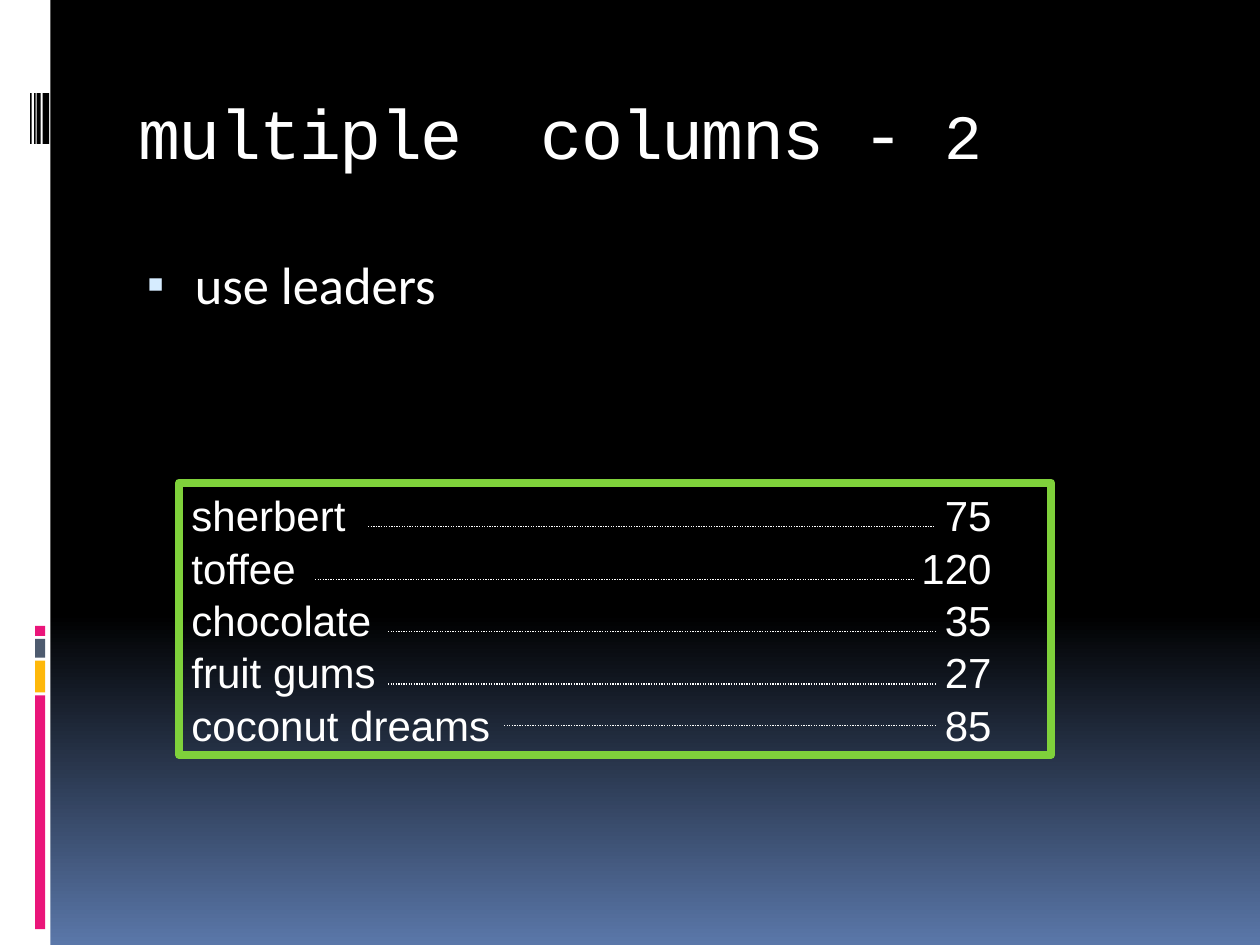
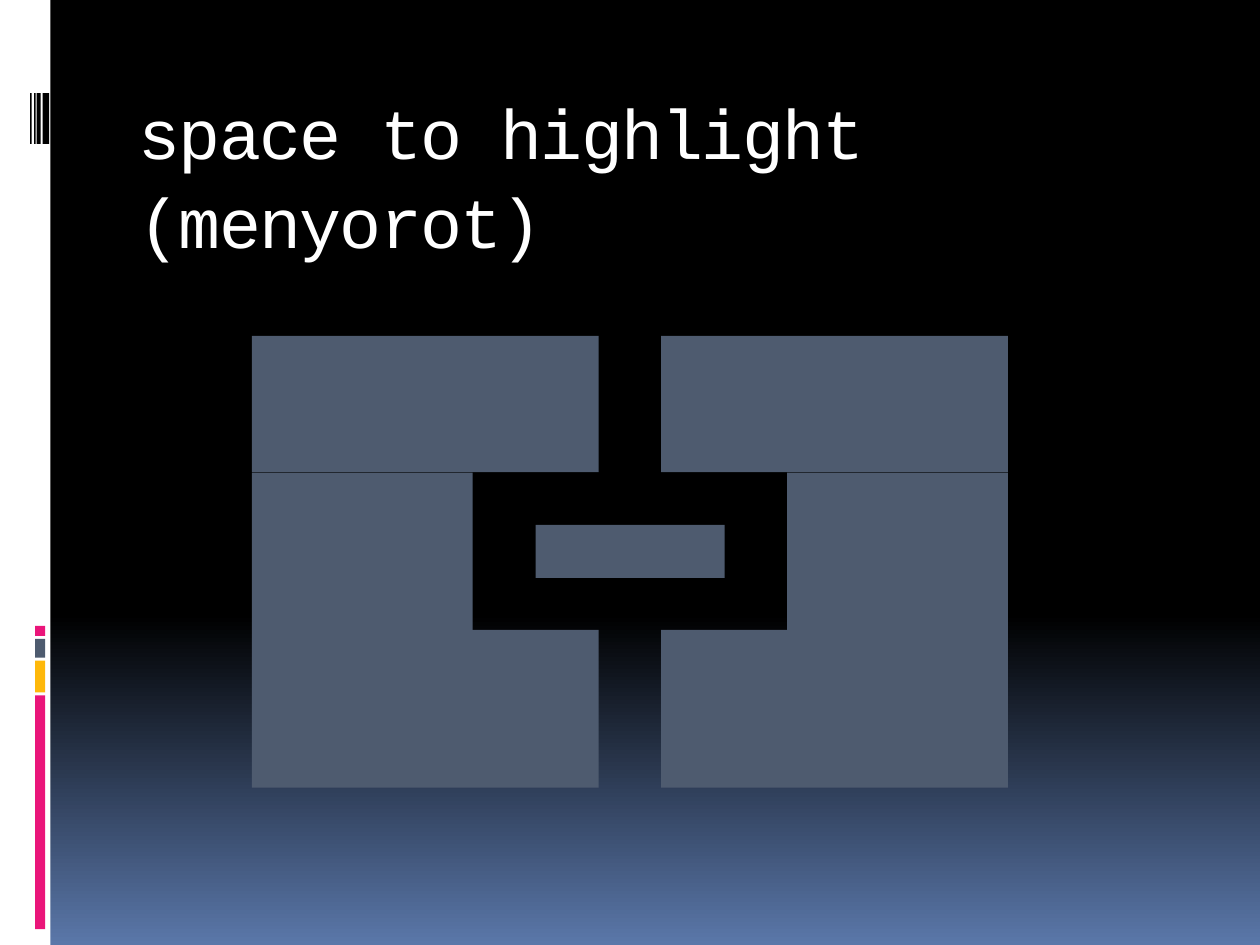
"""Build two slides on laying out columns and using space to highlight."""
from lxml.etree import SubElement
from pptx import Presentation
from pptx.dml.color import RGBColor
from pptx.enum.dml import MSO_LINE
from pptx.enum.shapes import MSO_CONNECTOR, MSO_SHAPE
from pptx.enum.text import MSO_ANCHOR, MSO_AUTO_SIZE, PP_ALIGN
from pptx.oxml.ns import qn
from pptx.util import Cm, Pt

COLORS = {
    "black": "000000",
    "white": "FFFFFF",
    "sky": "5A77A9",
    "pink": "EA157A",
    "amber": "FEB80A",
    "slate": "4E5B6F",
    "green": "7FD13B",
    "bullet": "D6ECFF",
}
PAGE_WIDTH, PAGE_HEIGHT = 25.4, 19.05
BARCODE = [(0.61, 0.03), (0.69, 0.03), (0.74, 0.08), (0.86, 0.13)]
STRIPS = [("pink", 0.2), ("slate", 0.38), ("amber", 0.64), ("pink", 4.71)]
STRIP_GAP = 0.06
SWEETS = [
    ("sherbert", 75, 7.42, 18.85, 10.62),
    ("toffee", 120, 6.35, 18.42, 11.68),
    ("chocolate", 35, 7.82, 18.85, 12.73),
    ("fruit gums", 27, 7.82, 18.85, 13.79),
    ("coconut dreams", 85, 10.16, 18.85, 14.63),
]
LEFT_BLOCKS = [(6.77, 6.99, 2.75), (9.53, 4.45, 3.17), (12.7, 6.99, 3.18)]
BLOCKS_LEFT = 5.08


def color(name):
    return RGBColor.from_string(COLORS[name])


def set_background(master):
    fill = master.background.fill
    fill.gradient()
    fill.gradient_angle = 270
    for stop, name, position in zip(fill.gradient_stops, ("black", "sky"), (0.65, 1)):
        stop.color.rgb = color(name)
        stop.position = position


def add_rectangle(page, left, top, width, height, fill=None):
    box = page.shapes.add_shape(
        MSO_SHAPE.RECTANGLE, Cm(left), Cm(top), Cm(width), Cm(height))
    box.shadow.inherit = False
    box.line.fill.background()
    if fill:
        box.fill.solid()
        box.fill.fore_color.rgb = color(fill)
    else:
        box.fill.background()
    return box


def set_font(para, name, size):
    para.font.name = name
    para.font.size = Pt(size)
    para.font.color.rgb = color("white")


def add_side_band(page):
    add_rectangle(page, 0, 0, 1.02, PAGE_HEIGHT, "white")
    top = 12.62
    for name, height in STRIPS:
        add_rectangle(page, 0.71, top, 0.2, height, name)
        top += height + STRIP_GAP
    for left, width in BARCODE:
        add_rectangle(page, left, 1.88, width, 1.02, "black")


def add_page(deck, title_parts):
    page = deck.slides.add_slide(deck.slide_layouts[5])
    add_side_band(page)
    title = page.shapes.title
    title.left, title.top, title.width, title.height = Cm(2.54), Cm(1.42), Cm(21.59), Cm(2.54)
    frame = title.text_frame
    frame.word_wrap = True
    frame.auto_size = MSO_AUTO_SIZE.NONE
    frame.vertical_anchor = MSO_ANCHOR.TOP
    frame.margin_top = Cm(0.28)
    para = frame.paragraphs[0]
    para.alignment = PP_ALIGN.LEFT
    para.line_spacing = 1.06
    set_font(para, "Courier New", 40)
    for text, size in title_parts:
        span = para.add_run()
        span.text = text
        span.font.size = Pt(size)
        span.font._element.set("spc", "-100")
    return page


def add_bullet(page, text):
    box = page.shapes.add_textbox(Cm(2.54), Cm(4.95), Cm(21.59), Cm(12.7))
    box.text_frame.word_wrap = True
    para = box.text_frame.paragraphs[0]
    para.text = text
    properties = para._p.get_or_add_pPr()
    properties.set("marL", str(Cm(1.14)))
    properties.set("indent", str(Cm(-0.97)))
    tint = SubElement(properties, qn("a:buClr"))
    SubElement(tint, qn("a:srgbClr"), val=COLORS["bullet"])
    SubElement(properties, qn("a:buSzPct"), val="95000")
    SubElement(properties, qn("a:buFont"), typeface="Arial")
    SubElement(properties, qn("a:buChar"), char="▪")
    set_font(para, "Calibri", 30)


def add_leader(page, start, end, height):
    leader = page.shapes.add_connector(
        MSO_CONNECTOR.STRAIGHT, Cm(start), Cm(height), Cm(end), Cm(height))
    leader.line.color.rgb = color("white")
    leader.line.width = Pt(0.75)
    leader.line.dash_style = MSO_LINE.ROUND_DOT
    SubElement(leader._element.spPr, qn("a:effectLst"))


def add_price_list(page):
    box = add_rectangle(page, 3.61, 9.73, 17.58, 5.49)
    box.line.color.rgb = color("green")
    box.line.width = Pt(4.5)
    frame = box.text_frame
    frame.word_wrap = True
    frame.vertical_anchor = MSO_ANCHOR.MIDDLE
    for index, (name, price, start, end, height) in enumerate(SWEETS):
        para = frame.add_paragraph() if index else frame.paragraphs[0]
        para.text = f"{name}\t{price}"
        para.alignment = PP_ALIGN.LEFT
        para.line_spacing = 1.04
        tabs = SubElement(para._p.get_or_add_pPr(), qn("a:tabLst"))
        SubElement(tabs, qn("a:tab"), pos=str(Cm(16.13)), algn="r")
        set_font(para, "Arial", 24)
        add_leader(page, start, end, height)


def add_framing_blocks(page):
    for top, width, height in LEFT_BLOCKS:
        for left in (BLOCKS_LEFT, PAGE_WIDTH - BLOCKS_LEFT - width):
            add_rectangle(page, left, top, width, height, "slate")
    add_rectangle(page, 10.8, 10.58, 3.81, 1.07, "slate")


def main():
    deck = Presentation()
    deck.slide_width, deck.slide_height = Cm(PAGE_WIDTH), Cm(PAGE_HEIGHT)
    set_background(deck.slide_master)

    columns = add_page(deck, [("multiple  columns - ", 40), ("2", 36)])
    add_bullet(columns, "use leaders")
    add_price_list(columns)

    highlight = add_page(deck, [("space to highlight (menyorot)", 40)])
    add_framing_blocks(highlight)

    deck.save("out.pptx")


if __name__ == "__main__":
    main()
